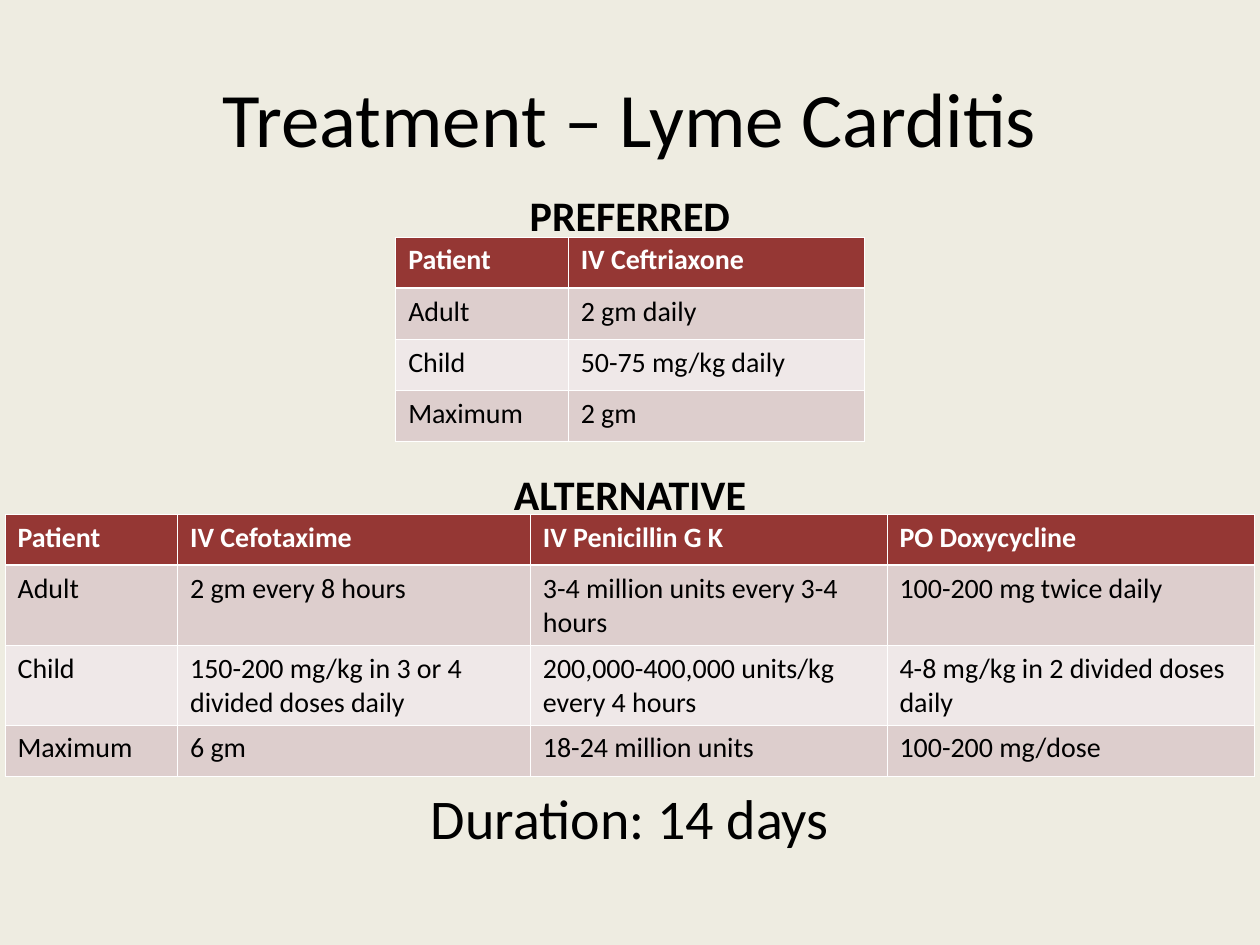
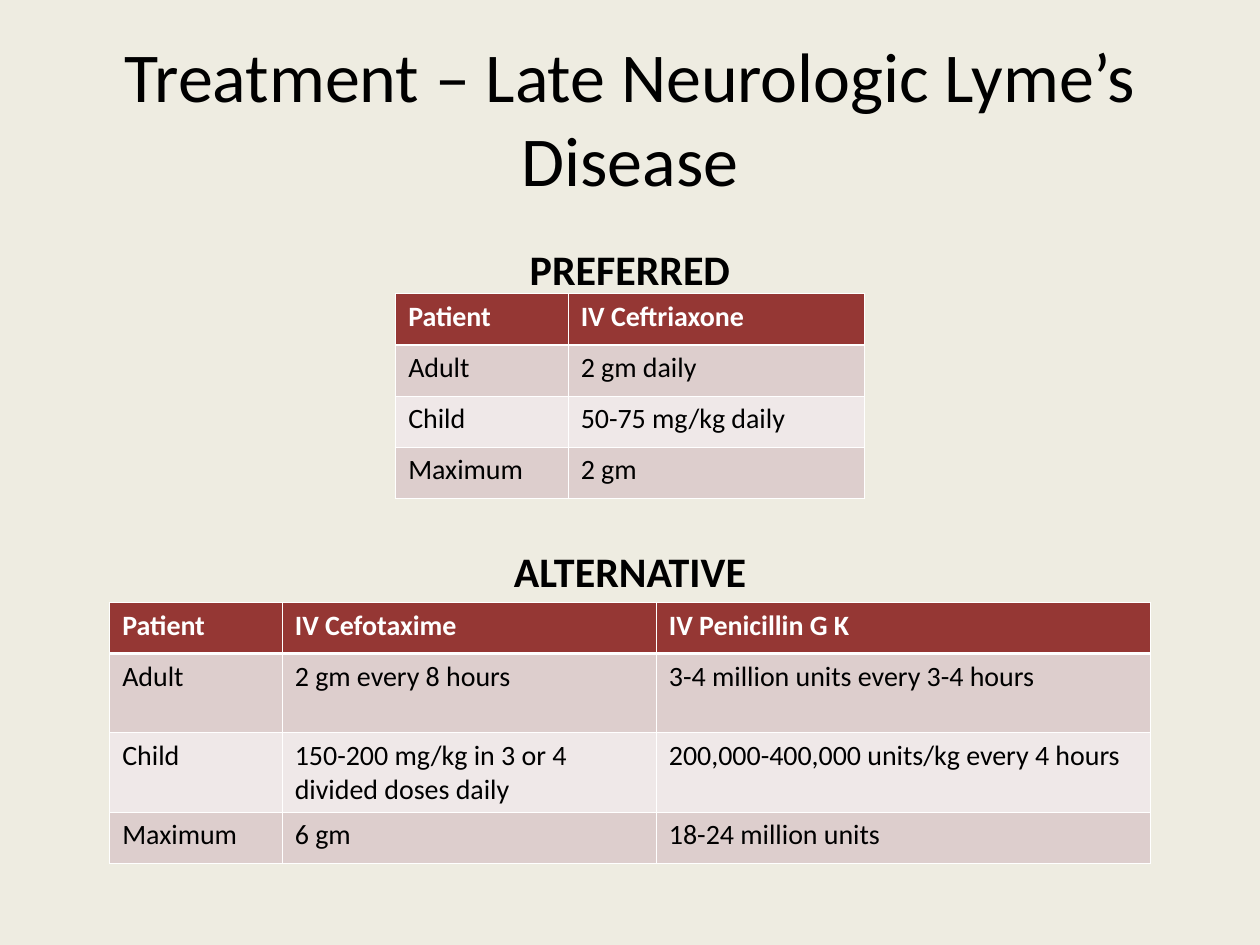
from lxml import etree
from pptx import Presentation
from pptx.dml.color import RGBColor
from pptx.enum.text import MSO_ANCHOR, PP_ALIGN
from pptx.oxml.ns import qn
from pptx.util import Pt

TOP, MIDDLE, BOTTOM = MSO_ANCHOR.TOP, MSO_ANCHOR.MIDDLE, MSO_ANCHOR.BOTTOM
CENTER = PP_ALIGN.CENTER

SLIDE_W, SLIDE_H = 720, 540
FONT = "Calibri"
COLORS = {
    "background": "EEECE1",
    "text": "000000",
    "header": "953734",
    "header_text": "FFFFFF",
    "odd_row": "DDCECD",
    "even_row": "EFE8E8",
    "border": "FFFFFF",
}
ROW_H, TALL_ROW_H = 29.2, 45
THIN, THICK = 0.45, 1.47

CEFTRIAXONE = [
    ("Patient", "IV Ceftriaxone"),
    ("Adult", "2 gm daily"),
    ("Child", "50-75 mg/kg daily"),
    ("Maximum", "2 gm"),
]
ALTERNATIVES = [
    ("Patient", "IV Cefotaxime", "IV Penicillin G K"),
    ("Adult", "2 gm every 8 hours", "3-4 million units every 3-4 hours"),
    ("Child", "150-200 mg/kg in 3 or 4 divided doses daily",
     "200,000-400,000 units/kg every 4 hours"),
    ("Maximum", "6 gm", "18-24 million units"),
]
DOXYCYCLINE = ["PO Doxycycline", "100-200 mg twice daily",
               "4-8 mg/kg in 2 divided doses daily", "100-200 mg/dose"]

PREFERRED_COLS = (98.6, 169.2)
PREFERRED_ROWS = (ROW_H,) * 4
ALTERNATIVE_ROWS = (ROW_H, TALL_ROW_H, TALL_ROW_H, ROW_H)

SLIDES = [
    {
        "title": "Treatment – Lyme Carditis",
        "title_size": 44,
        "preferred": {"heading_top": 90, "table_top": 135.4},
        "alternative": {
            "heading_top": 249.8, "table_top": 293.8,
            "cols": (98.6, 201.6, 203.8, 210.2),
            "rows": [row + (dose,) for row, dose in zip(ALTERNATIVES, DOXYCYCLINE)],
        },
        "duration": "Duration: 14 days",
    },
    {
        "title": "Treatment – Late Neurologic Lyme’s Disease",
        "title_size": 40,
        "preferred": {"heading_top": 121, "table_top": 167.8},
        "alternative": {
            "heading_top": 293.8, "table_top": 344.2,
            "cols": (98.6, 213.8, 282.2),
            "rows": ALTERNATIVES,
        },
    },
]


def rgb(name):
    return RGBColor.from_string(COLORS[name])


def style_font(p, size, color="text", bold=False):
    p.font.name = FONT
    p.font.size = Pt(size)
    p.font.bold = bold
    p.font.color.rgb = rgb(color)


def add_centered_text(slide, text, top, width, height, size, anchor, bold=False):
    box = slide.shapes.add_textbox(Pt((SLIDE_W - width) / 2), Pt(top),
                                   Pt(width), Pt(height))
    tf = box.text_frame
    tf.word_wrap = True
    tf.vertical_anchor = anchor
    p = tf.paragraphs[0]
    p.text = text
    p.alignment = CENTER
    style_font(p, size, bold=bold)


def add_borders(cell, top, bottom):
    tc_pr = cell._tc.get_or_add_tcPr()
    for side, width in (("L", THIN), ("R", THIN), ("T", top), ("B", bottom)):
        ln = etree.SubElement(tc_pr, qn(f"a:ln{side}"), w=str(Pt(width)))
        fill = etree.SubElement(ln, qn("a:solidFill"))
        etree.SubElement(fill, qn("a:srgbClr"), val=COLORS["border"])


def add_dose_table(slide, rows, top, col_widths, row_heights):
    """Add a horizontally centred table with a header row and banded body rows."""
    width = sum(col_widths)
    table = slide.shapes.add_table(
        len(rows), len(col_widths), Pt((SLIDE_W - width) / 2), Pt(top),
        Pt(width), Pt(sum(row_heights))).table
    for column, col_w in zip(table.columns, col_widths):
        column.width = Pt(col_w)
    for i, (values, row_h) in enumerate(zip(rows, row_heights)):
        table.rows[i].height = Pt(row_h)
        is_header = i == 0
        fill = "header" if is_header else "odd_row" if i % 2 else "even_row"
        for j, value in enumerate(values):
            cell = table.cell(i, j)
            add_borders(cell, top=THICK if i == 1 else THIN,
                        bottom=THICK if is_header else THIN)
            cell.fill.solid()
            cell.fill.fore_color.rgb = rgb(fill)
            p = cell.text_frame.paragraphs[0]
            p.text = value
            style_font(p, 16, "header_text" if is_header else "text", is_header)


def add_section(slide, heading, heading_width, heading_top, table_top,
                rows, cols, row_heights):
    add_dose_table(slide, rows, table_top, cols, row_heights)
    add_centered_text(slide, heading, heading_top, heading_width, 50.4, 24,
                      BOTTOM, bold=True)


def add_treatment_slide(prs, content):
    slide = prs.slides.add_slide(prs.slide_layouts[6])
    slide.background.fill.solid()
    slide.background.fill.fore_color.rgb = rgb("background")
    add_centered_text(slide, content["title"], 21.6, 648, 90,
                      content["title_size"], MIDDLE)
    add_section(slide, "PREFERRED", 318, rows=CEFTRIAXONE, cols=PREFERRED_COLS,
                row_heights=PREFERRED_ROWS, **content["preferred"])
    add_section(slide, "ALTERNATIVE", 294, row_heights=ALTERNATIVE_ROWS,
                **content["alternative"])
    if "duration" in content:
        add_centered_text(slide, content["duration"], 444.2, 324, 62.6, 32, TOP)


def main():
    prs = Presentation()
    prs.slide_width, prs.slide_height = Pt(SLIDE_W), Pt(SLIDE_H)
    for content in SLIDES:
        add_treatment_slide(prs, content)
    prs.save("out.pptx")


if __name__ == "__main__":
    main()
